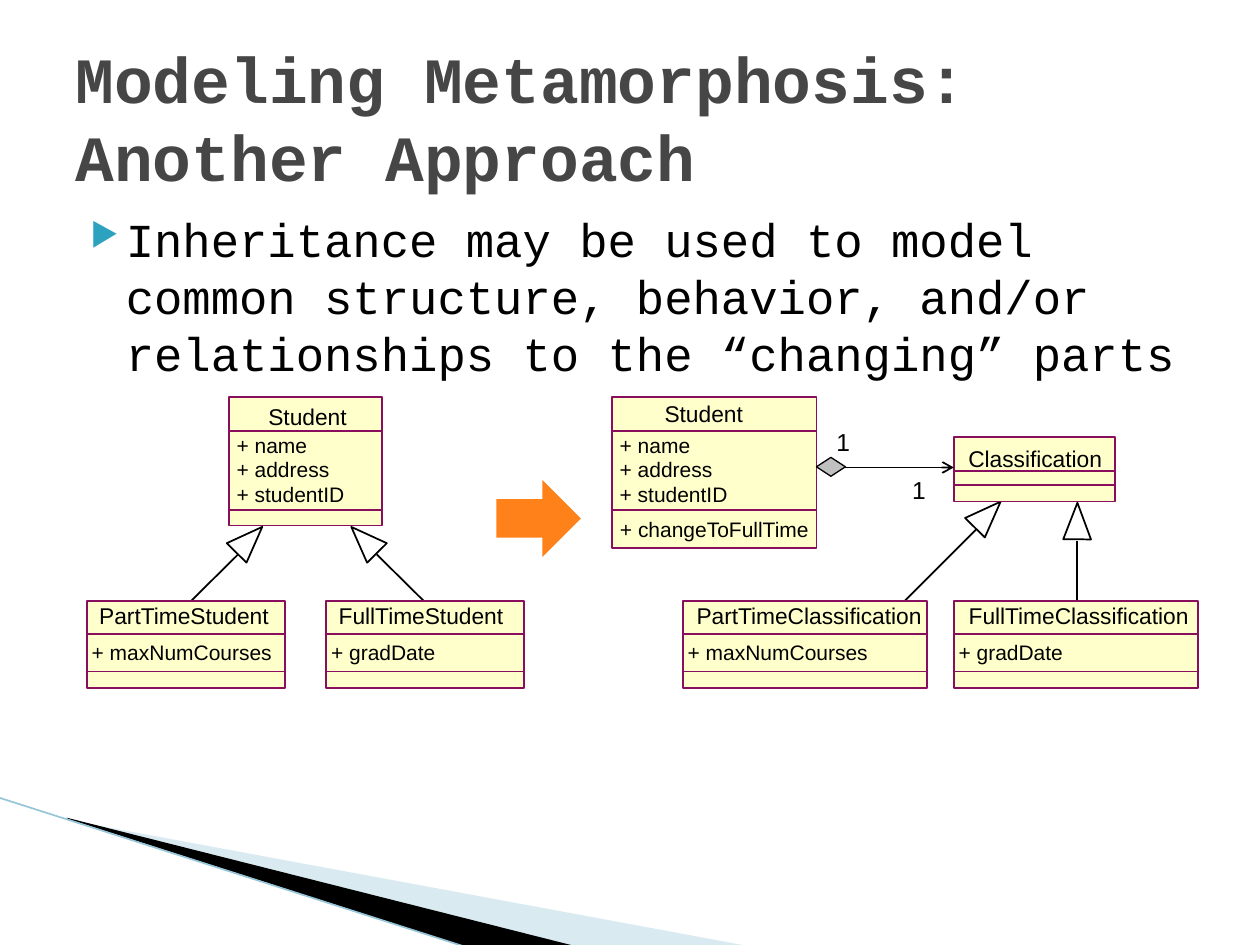
from dataclasses import dataclass

from lxml import etree
from pptx import Presentation
from pptx.dml.color import RGBColor
from pptx.enum import shapes, text
from pptx.oxml import ns
from pptx.util import Inches, Pt


@dataclass(frozen=True)
class Theme:
    heading_font: str = "Courier New"
    label_font: str = "Arial"
    title_size: float = 36.9
    body_size: float = 27
    class_size: float = 13
    member_size: float = 12
    multiplicity_size: float = 14
    title: str = "464646"
    ink: str = "000000"
    bullet: str = "2DA2BF"
    class_fill: str = "FFFFCC"
    class_line: str = "8A0E5E"
    arrow: str = "FF8119"
    diamond: str = "C0C0C0"
    swoosh: str = "A0CBDC"
    swoosh_edge: str = "97C5D8"


THEME = Theme()
LEFT, CENTER = text.PP_ALIGN.LEFT, text.PP_ALIGN.CENTER


def add_element(parent, tag, **attributes):
    return etree.SubElement(parent, ns.qn(tag), attributes)


def paint(shape, fill=None, line=None, weight=1.0):
    shape.shadow.inherit = False
    if fill:
        shape.fill.solid()
        shape.fill.fore_color.rgb = RGBColor.from_string(fill)
    else:
        shape.fill.background()
    if line:
        shape.line.color.rgb = RGBColor.from_string(line)
        shape.line.width = Pt(weight)
    else:
        shape.line.fill.background()


def add_preset(slide, preset, box, fill=None, line=None, weight=1.0, rotation=0):
    shape = slide.shapes.add_shape(preset, *map(Inches, box))
    shape.rotation = rotation
    paint(shape, fill, line, weight)
    return shape


def add_line(slide, start, end, color=THEME.ink, weight=1.0, arrow=False):
    line = slide.shapes.add_connector(
        shapes.MSO_CONNECTOR.STRAIGHT, *map(Inches, (*start, *end)))
    line.line.color.rgb = RGBColor.from_string(color)
    line.line.width = Pt(weight)
    if arrow:
        add_element(line.line._get_or_add_ln(), "a:tailEnd", type="arrow")
    add_element(line._element.spPr, "a:effectLst")


def add_outline(slide, points, fill, opacity=100):
    start, *rest = [(Inches(x), Inches(y)) for x, y in points]
    builder = slide.shapes.build_freeform(*start)
    builder.add_line_segments(rest, close=True)
    shape = builder.convert_to_shape()
    paint(shape, fill)
    if opacity < 100:
        color = shape.fill._xPr.find(".//" + ns.qn("a:srgbClr"))
        add_element(color, "a:alpha", val=str(opacity * 1000))


def set_font(paragraph, name, size, color, bold=False):
    font = paragraph.font
    font.name, font.size, font.bold = name, Pt(size), bold
    font.color.rgb = RGBColor.from_string(color)


def add_text(slide, box, words, size, font=THEME.label_font, color=THEME.ink,
             align=LEFT, bold=False, wrap=True, anchor=text.MSO_ANCHOR.TOP,
             bulleted=False):
    frame = slide.shapes.add_textbox(*map(Inches, box)).text_frame
    frame.word_wrap = wrap
    frame.vertical_anchor = anchor
    paragraph = frame.paragraphs[0]
    paragraph.text = words
    paragraph.alignment = align
    if bulleted:
        add_bullet(paragraph)
    set_font(paragraph, font, size, color, bold)


def add_bullet(paragraph):
    properties = paragraph._p.get_or_add_pPr()
    properties.set("marL", str(Inches(0.4)))
    properties.set("indent", str(Inches(-0.28)))
    color = add_element(properties, "a:buClr")
    add_element(color, "a:srgbClr", val=THEME.bullet)
    add_element(properties, "a:buSzPct", val="68000")
    add_element(properties, "a:buChar", char="▶")


def add_class(slide, box, name, name_box, dividers, members=(), member_at=(0, 0)):
    left, top, width, _ = box
    add_preset(slide, shapes.MSO_SHAPE.RECTANGLE, box,
               THEME.class_fill, THEME.class_line)
    for offset in dividers:
        add_line(slide, (left, top + offset), (left + width, top + offset),
                 THEME.class_line)
    add_text(slide, (*name_box, 0.32), name, THEME.class_size,
             align=CENTER, wrap=False)
    member_left, member_top = member_at
    for row, member in enumerate(members):
        add_text(slide, (member_left, member_top + row * 0.195, 1.66, 0.3),
                 member, THEME.member_size, wrap=False)


def add_inheritance(slide, child, parent, head_at, rotation):
    add_line(slide, child, parent)
    add_preset(slide, shapes.MSO_SHAPE.ISOSCELES_TRIANGLE, (*head_at, 0.22, 0.29),
               line=THEME.ink, rotation=rotation)


def add_backdrop(slide):
    add_outline(slide, [(0.55, 6.51), (5.95, 7.51), (4.56, 7.51), (0.55, 6.5)],
                THEME.swoosh, opacity=40)
    add_outline(slide, [(0.53, 6.49), (4.57, 7.51), (3.72, 7.52), (0.54, 6.5)],
                THEME.ink)
    add_line(slide, (-0.01, 6.33), (3.71, 7.52), THEME.swoosh_edge, 0.95)


def add_headings(slide):
    add_text(slide, (0.5, 1.62, 9, 4.95),
             "Inheritance may be used to model common structure, behavior, "
             "and/or relationships to the “changing” parts",
             THEME.body_size, THEME.heading_font, bulleted=True)
    add_text(slide, (0.5, 0.3, 9, 1.25), "Modeling Metamorphosis: Another Approach",
             THEME.title_size, THEME.heading_font, THEME.title, bold=True,
             anchor=text.MSO_ANCHOR.MIDDLE)


def add_inheritances(slide):
    add_inheritance(slide, (3.94, 5.34), (2.99, 4.4), (2.78, 4.14), 315.4)
    add_inheritance(slide, (0.94, 5.34), (1.89, 4.4), (1.87, 4.14), 44.6)
    add_inheritance(slide, (6.8, 5.15), (7.75, 4.2), (7.73, 3.94), 44.6)
    add_inheritance(slide, (8.55, 5.1), (8.55, 4.29), (8.44, 3.99), 0.4)


def add_classes(slide):
    student = ["+ name", "+ address", "+ studentID"]
    for box, name_box in [((1.82, 3.15, 1.21, 1.02), (2.03, 3.15, 0.82)),
                          ((4.86, 3.15, 1.62, 1.2), (5.17, 3.12, 0.83))]:
        add_class(slide, box, "Student", name_box, (0.27, 0.9),
                  student, (box[0] - 0.04, 3.38))
    add_text(slide, (4.71, 4.05, 1.92, 0.3), "+ changeToFullTime",
             THEME.member_size, align=CENTER)

    for left, width, name, name_left, name_width, member in [
            (0.69, 1.57, "PartTimeStudent", 0.68, 1.56, "+ maxNumCourses"),
            (2.59, 1.57, "FullTimeStudent", 2.58, 1.52, "+ gradDate"),
            (5.42, 1.94, "PartTimeClassification", 5.42, 2, "+ maxNumCourses"),
            (7.57, 1.94, "FullTimeClassification", 7.58, 1.96, "+ gradDate")]:
        add_class(slide, (left, 4.77, width, 0.69), name,
                  (name_left, 4.73, name_width), (0.26, 0.56),
                  [member], (left - 0.06, 5.03))

    add_class(slide, (7.57, 3.47, 1.28, 0.51), "Classification",
              (7.58, 3.48, 1.27), (0.27, 0.38))


def add_aggregation(slide):
    add_preset(slide, shapes.MSO_SHAPE.DIAMOND, (6.48, 3.63, 0.23, 0.15),
               THEME.diamond, THEME.ink, 0.75)
    for left, top in [(6.54, 3.34), (7.14, 3.72)]:
        add_text(slide, (left, top, 0.31, 0.33), "1", THEME.multiplicity_size)
    add_line(slide, (6.71, 3.71), (7.57, 3.71), arrow=True)


def main():
    deck = Presentation()
    deck.slide_width, deck.slide_height = Inches(10), Inches(7.5)
    slide = deck.slides.add_slide(deck.slide_layouts[6])
    add_backdrop(slide)
    add_headings(slide)
    add_inheritances(slide)
    add_classes(slide)
    add_preset(slide, shapes.MSO_SHAPE.RIGHT_ARROW, (3.94, 3.81, 0.67, 0.61),
               THEME.arrow)
    add_aggregation(slide)
    deck.save("out.pptx")


if __name__ == "__main__":
    main()
